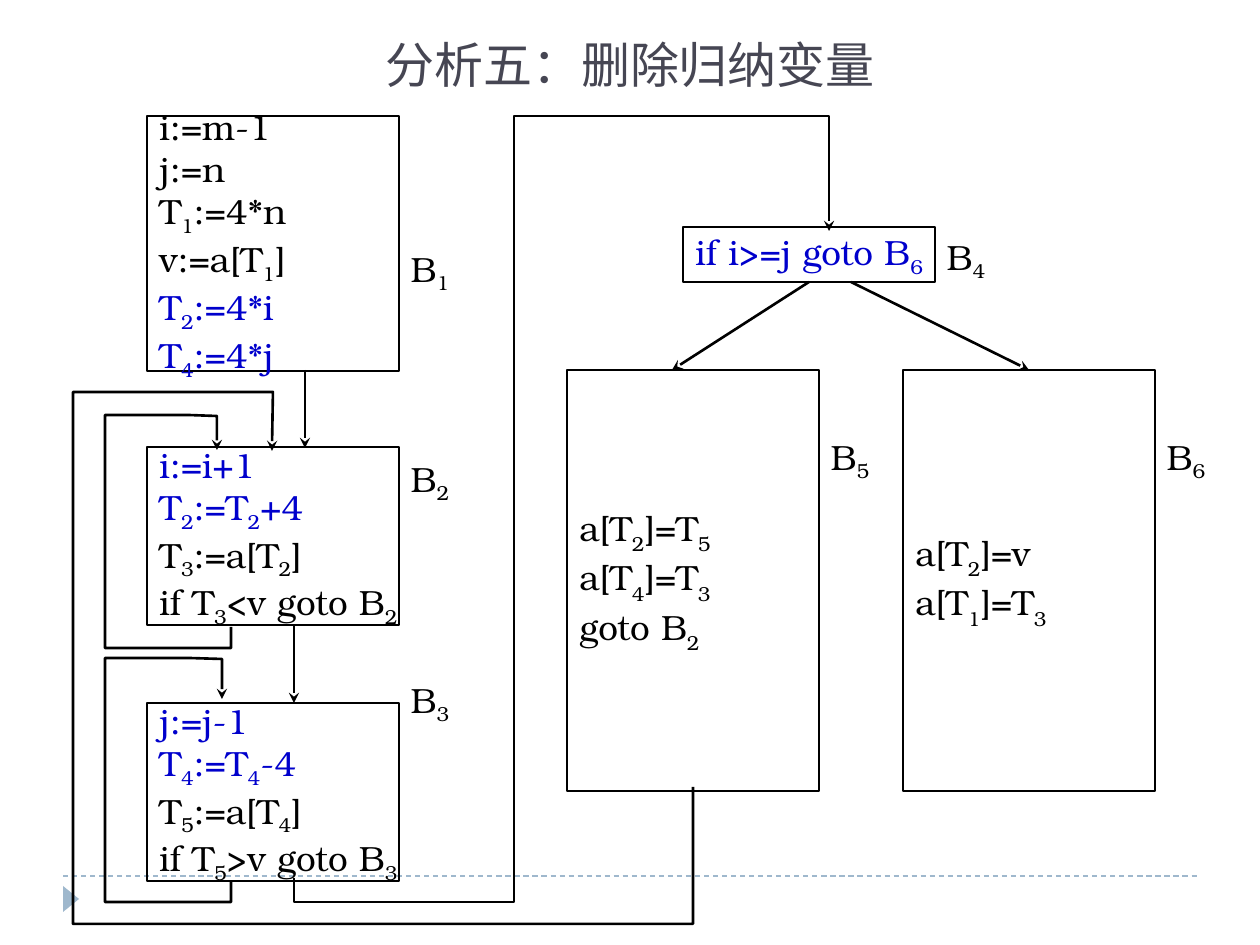
from lxml import etree
from pptx import Presentation
from pptx.dml.color import RGBColor
from pptx.enum.dml import MSO_LINE
from pptx.enum.shapes import MSO_CONNECTOR, MSO_SHAPE
from pptx.enum.text import MSO_ANCHOR, PP_ALIGN
from pptx.oxml.ns import qn
from pptx.util import Pt

PX = 914400 / 126
FONT = "TeX Gyre Bonum"
BLACK, BLUE, TITLE, ACCENT = "000000", "0000CC", "464653", "9FB8CD"
STRAIGHT = MSO_CONNECTOR.STRAIGHT
RECTANGLE, TRIANGLE = MSO_SHAPE.RECTANGLE, MSO_SHAPE.ISOSCELES_TRIANGLE
DASH = MSO_LINE.DASH
MIDDLE = MSO_ANCHOR.MIDDLE
LEFT, CENTER = PP_ALIGN.LEFT, PP_ALIGN.CENTER

BLOCK_WIDTH = 252
LABEL_WIDTH, LABEL_HEIGHT, LABEL_OVERLAP = 84, 88, 11

# Blocks: number, left, top, height, label top, subscript depth in %, code.
# An underscore lowers the next character.
BLOCKS = [
    (1, 147, 116, 255, 227, 25, [
        ("i:=m-1", BLACK), ("j:=n", BLACK), ("T_1:=4*n", BLACK),
        ("v:=a[T_1]", BLACK), ("T_2:=4*i", BLUE), ("T_4:=4*j", BLUE)]),
    (2, 147, 447, 178, 437, 25, [
        ("i:=i+1", BLUE), ("T_2:=T_2+4", BLUE),
        ("T_3:=a[T_2]", BLACK), ("if T_3<v goto B_2", BLACK)]),
    (3, 147, 703, 178, 658, 25, [
        ("j:=j-1", BLUE), ("T_4:=T_4-4", BLUE),
        ("T_5:=a[T_4]", BLACK), ("if T_5>v goto B_3", BLACK)]),
    (4, 683, 227, 55, 215, 25, [("if i>=j goto B_6", BLUE)]),
    (5, 567, 370, 421, 415, 30, [
        ("a[T_2]=T_5", BLACK), ("a[T_4]=T_3", BLACK), ("goto B_2", BLACK)]),
    (6, 903, 370, 421, 415, 30, [
        ("a[T_2]=v", BLACK), ("a[T_1]=T_3", BLACK)]),
]

STRAIGHT_ARROWS = [
    ((305, 370), (305, 448)),
    ((294, 625), (294, 703)),
    ((809, 282), (672, 370)),
    ((851, 282), (1029, 370)),
]

BENT_ARROWS = [
    [(294, 878), (294, 902), (514, 902), (514, 116), (829, 116), (829, 231)],
    [(231, 627), (231, 648), (105, 648), (105, 415), (189, 415), (217, 416),
     (217, 450)],
    [(231, 881), (231, 902), (105, 902), (105, 658), (189, 658), (222, 659),
     (222, 699)],
    [(693, 787), (693, 924), (73, 924), (73, 392), (273, 392), (272, 451)],
]


def emu(*lengths):
    return [round(length * PX) for length in lengths]


def color(value):
    return RGBColor.from_string(value)


def set_line(shape, value, width):
    shape.line.color.rgb = color(value)
    shape.line.width = Pt(width)


def add_arrowhead(shape):
    line = shape.line._get_or_add_ln()
    etree.SubElement(line, qn("a:tailEnd"), type="stealth")


def add_run(paragraph, text, size, value, depth=0):
    run = paragraph.add_run()
    run.text = text
    run.font.name = FONT
    run.font.size = Pt(size)
    run.font.color.rgb = color(value)
    if depth:
        run.font._element.set("baseline", str(-1000 * depth))


def write_lines(shape, lines, size, align, depth=25, wrap=False):
    frame = shape.text_frame
    frame.word_wrap = wrap
    frame.vertical_anchor = MIDDLE
    for index, (text, value) in enumerate(lines):
        paragraph = frame.add_paragraph() if index else frame.paragraphs[0]
        paragraph.alignment = align
        start, *lowered = text.split("_")
        add_run(paragraph, start, size, value)
        for part in lowered:
            add_run(paragraph, part[0], size, value, depth)
            if part[1:]:
                add_run(paragraph, part[1:], size, value)


def add_text(slide, box, text, size, value, wrap=False):
    shape = slide.shapes.add_textbox(*emu(*box))
    write_lines(shape, [(text, value)], size, CENTER, wrap=wrap)


def add_block(slide, number, left, top, height, label_top, depth, code):
    shape = slide.shapes.add_shape(
        RECTANGLE, *emu(left, top, BLOCK_WIDTH, height))
    shape.shadow.inherit = False
    shape.fill.background()
    set_line(shape, BLACK, 1.25)
    write_lines(shape, code, 20, LEFT, depth)
    label_left = left + BLOCK_WIDTH - LABEL_OVERLAP
    add_text(slide, (label_left, label_top, LABEL_WIDTH, LABEL_HEIGHT),
             f"B_{number}", 20, BLACK)


def add_line(slide, start, end, value, width):
    connector = slide.shapes.add_connector(STRAIGHT, *emu(*start, *end))
    set_line(connector, value, width)
    etree.SubElement(connector._element.spPr, qn("a:effectLst"))
    return connector


def add_bent_arrow(slide, points):
    start, *rest = [emu(*point) for point in points]
    builder = slide.shapes.build_freeform(*start)
    builder.add_line_segments(rest, close=False)
    shape = builder.convert_to_shape()
    shape.shadow.inherit = False
    shape.fill.background()
    set_line(shape, BLACK, 1.5)
    add_arrowhead(shape)


def add_footer(slide):
    rule = add_line(slide, (63, 876), (1197, 876), ACCENT, 0.75)
    rule.line.dash_style = DASH
    marker = slide.shapes.add_shape(TRIANGLE, *emu(58, 891, 26, 16))
    marker.rotation = 90
    marker.shadow.inherit = False
    marker.fill.solid()
    marker.fill.fore_color.rgb = color(ACCENT)
    marker.line.fill.background()


def main():
    presentation = Presentation()
    presentation.slide_width, presentation.slide_height = emu(1260, 945)
    slide = presentation.slides.add_slide(presentation.slide_layouts[6])

    add_footer(slide)

    # Flow graph
    for block in BLOCKS:
        add_block(slide, *block)
    for start, end in STRAIGHT_ARROWS:
        add_arrowhead(add_line(slide, start, end, BLACK, 1.5))
    for points in BENT_ARROWS:
        add_bent_arrow(slide, points)

    # Title
    add_text(slide, (42, 32, 1176, 63), "分析五：删除归纳变量", 28, TITLE,
             wrap=True)

    presentation.save("out.pptx")


if __name__ == "__main__":
    main()
